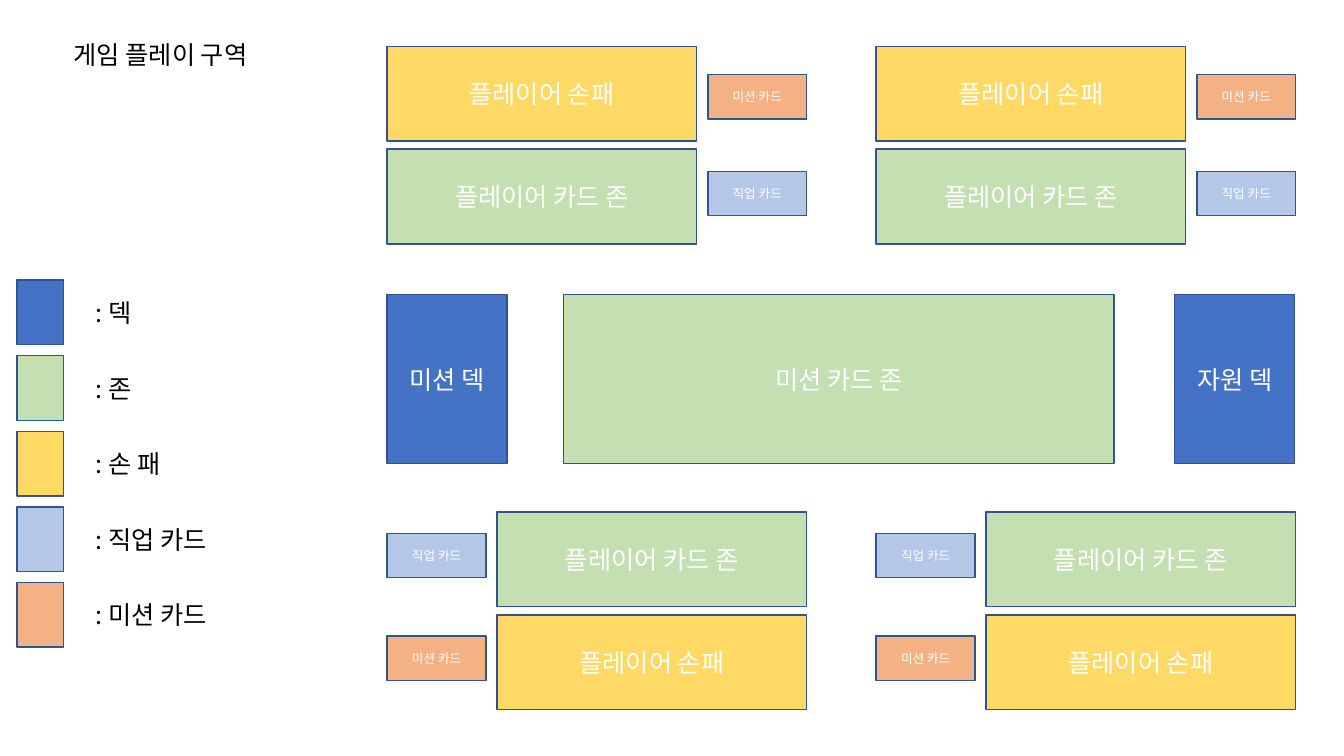
from dataclasses import dataclass

from pptx import Presentation
from pptx import util as u
from pptx.dml import color
from pptx.enum import shapes, text
from pptx.oxml import ns, xmlchemy


@dataclass(frozen=True)
class Theme:
    font: str = "Noto Sans CJK KR"
    deck: str = "4472C4"
    zone: str = "C4E0B2"
    hand: str = "FFD966"
    job: str = "B4C7E7"
    quest: str = "F4B183"
    edge: str = "31538F"
    light: str = "FFFFFF"
    dark: str = "000000"
    large: int = 18
    small: int = 9


THEME = Theme()
COLS = (3.84, 8.69)
WIDE = (3.07, 0.94)
CARD = (0.98, 0.44)
DECK = (1.19, 1.68)
FRAME = {"word_wrap": True, "margin_left": u.Inches(0.1), "margin_right": u.Inches(0.1),
         "margin_top": u.Inches(0.05), "margin_bottom": u.Inches(0.05)}
MIDDLE = {**FRAME, "vertical_anchor": text.MSO_ANCHOR.MIDDLE}
LABEL = {**FRAME, "vertical_anchor": text.MSO_ANCHOR.TOP,
         "auto_size": text.MSO_AUTO_SIZE.SHAPE_TO_FIT_TEXT}


def apply(target, values):
    for name, value in values.items():
        setattr(target, name, value)


def write(frame, words, form, size, tint, align):
    """Fill a text frame with one run, in the theme font for Latin and Korean."""
    apply(frame, form)
    para = frame.paragraphs[0]
    para.alignment = align
    run = para.add_run()
    run.text = words
    apply(run.font, {"name": THEME.font, "size": u.Pt(size), "bold": False})
    run.font.color.rgb = color.RGBColor.from_string(tint)
    asian = xmlchemy.OxmlElement("a:ea")
    asian.set("typeface", THEME.font)
    run.font._element.find(ns.qn("a:latin")).addnext(asian)


def add_box(parent, left, top, size, fill, words="", points=THEME.large):
    box = parent.add_shape(shapes.MSO_SHAPE.RECTANGLE,
                           *map(u.Inches, (left, top, *size)))
    box.shadow.inherit = False
    box.fill.solid()
    box.fill.fore_color.rgb = color.RGBColor.from_string(fill)
    box.line.color.rgb = color.RGBColor.from_string(THEME.edge)
    box.line.width = u.Pt(1)
    if words:
        write(box.text_frame, words, MIDDLE, points, THEME.light, text.PP_ALIGN.CENTER)


def add_label(parent, left, top, width, words):
    label = parent.add_textbox(*map(u.Inches, (left, top, width, 0.4)))
    write(label.text_frame, words, LABEL, THEME.large, THEME.dark, text.PP_ALIGN.LEFT)


def set_title(slide, words):
    title = slide.shapes.title
    apply(title, {"left": u.Inches(0.63), "top": u.Inches(0.34),
                  "width": u.Inches(2.15), "height": u.Inches(0.4)})
    write(title.text_frame, words, LABEL, THEME.large, THEME.dark, text.PP_ALIGN.LEFT)


def add_seat(parent, wide, card, tops):
    """Draw one player's hand, zone and two cards; tops run in that order."""
    hand, zone, quest, job = tops
    add_box(parent, wide, hand, WIDE, THEME.hand, "플레이어 손패")
    add_box(parent, wide, zone, WIDE, THEME.zone, "플레이어 카드 존")
    add_box(parent, card, quest, CARD, THEME.quest, "미션 카드", THEME.small)
    add_box(parent, card, job, CARD, THEME.job, "직업 카드", THEME.small)


def add_board(slide):
    board = slide.shapes.add_group_shape().shapes
    add_box(board, 3.84, 2.92, DECK, THEME.deck, "미션 덱")
    add_box(board, 5.59, 2.92, (5.46, 1.68), THEME.zone, "미션 카드 존")
    add_box(board, 11.65, 2.92, DECK, THEME.deck, "자원 덱")
    for left in COLS:
        add_seat(board, left, left + 3.18, (0.46, 1.48, 0.74, 1.7))
        add_seat(board, left + 1.09, left, (6.1, 5.08, 6.31, 5.29))


def add_legend(slide):
    items = ((THEME.deck, ": 덱", 0.6), (THEME.zone, ": 존", 0.6),
             (THEME.hand, ": 손 패", 0.94), (THEME.job, ": 직업 카드", 1.45),
             (THEME.quest, ": 미션 카드", 1.45))
    for row, (fill, words, width) in enumerate(items):
        top = 2.78 + 0.75 * row
        add_box(slide.shapes, 0.17, top, (0.46, 0.64), fill)
        add_label(slide.shapes, 0.85, top + 0.12, width, words)


def main():
    deck = Presentation()
    apply(deck, {"slide_width": u.Inches(13.33), "slide_height": u.Inches(7.5)})
    slide = deck.slides.add_slide(deck.slide_layouts.get_by_name("Title Only"))
    set_title(slide, "게임 플레이 구역")
    add_board(slide)
    add_legend(slide)
    deck.save("out.pptx")


if __name__ == "__main__":
    main()
